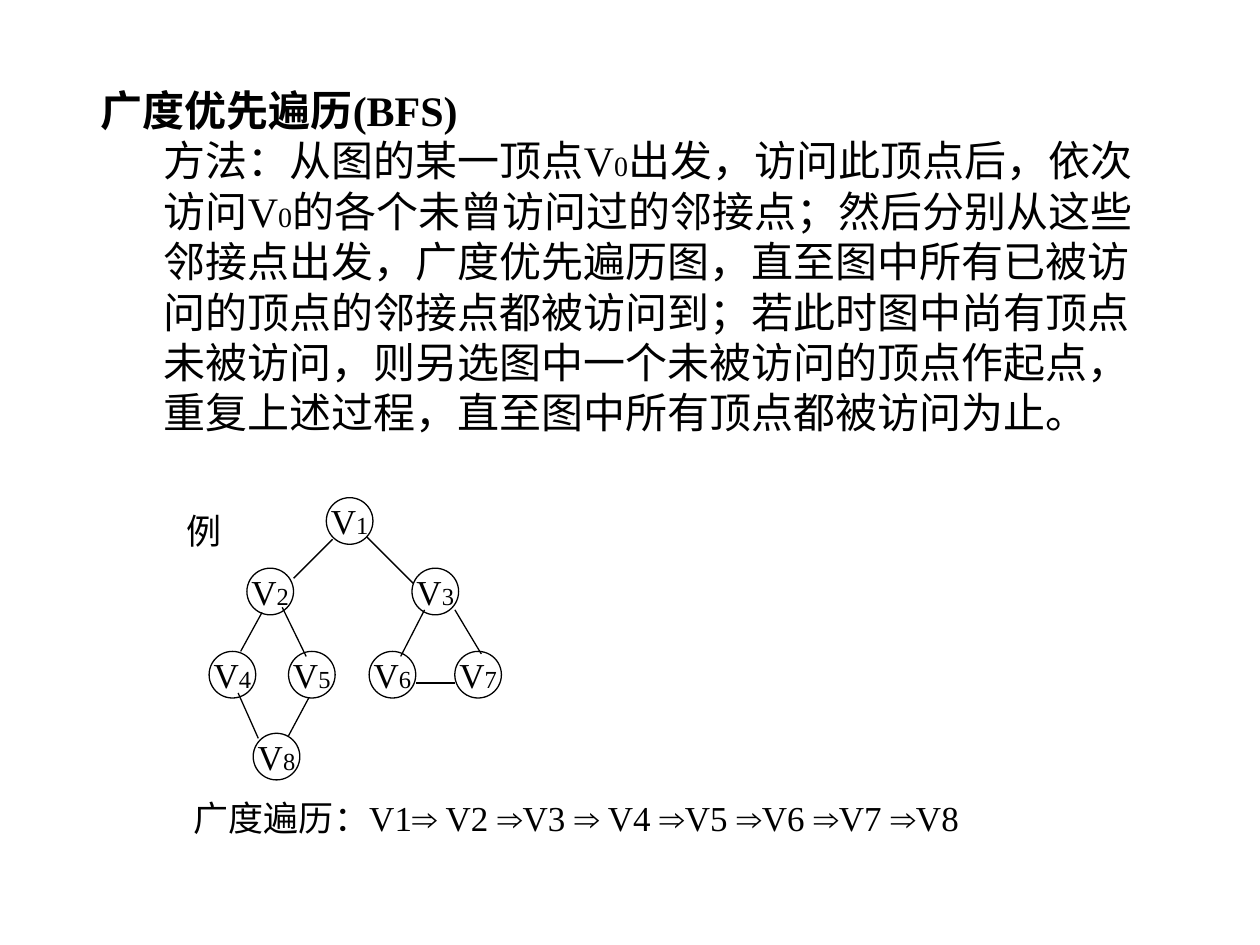
import itertools
from typing import NamedTuple

import pptx
import pptx.dml.color
import pptx.enum.shapes
import pptx.enum.text
import pptx.oxml.ns
import pptx.util
from lxml import etree

BLACK = pptx.dml.color.RGBColor(0, 0, 0)
SERIF, SANS = "Times New Roman", "Arial"
COLS, ROWS = 100, 75  # square cells, a tenth of an inch each
CELL = pptx.util.Inches(0.1)
SIDE = 3.7  # node diameter in cells
ALIGN = pptx.enum.text.PP_ALIGN
ANCHOR = pptx.enum.text.MSO_ANCHOR
FIT = pptx.enum.text.MSO_AUTO_SIZE


class Node(NamedTuple):
    num: int
    col: float
    row: float


class Edge(NamedTuple):
    x1: float
    y1: float
    x2: float
    y2: float


NODES = [
    Node(1, 25.9, 39.5),
    Node(2, 19.6, 45.1), Node(3, 32.7, 45.1),
    Node(4, 16.6, 51.7), Node(5, 22.9, 51.7),
    Node(6, 29.3, 51.7), Node(7, 36.1, 51.7),
    Node(8, 20.1, 58.2),
]
EDGES = [
    Edge(26.4, 42.8, 23.3, 45.9), Edge(29.1, 42.6, 32.8, 46.3),
    Edge(20.8, 48.6, 19.1, 51.7), Edge(22.4, 48.2, 24.3, 52.1),
    Edge(18.9, 55.0, 20.5, 58.6), Edge(24.5, 55.4, 22.9, 58.4),
    Edge(33.7, 48.4, 31.8, 52.1), Edge(33.0, 54.2, 36.1, 54.2),
    Edge(36.1, 48.4, 38.2, 51.9),
]
METHOD = [
    ("方法：从图的某一顶点V", 24), ("0", 16),
    ("出发，访问此顶点后，依次访问V", 24), ("0", 16),
    ("的各个未曾访问过的邻接点；然后分别从这些邻接点出发，"
     "广度优先遍历图，直至图中所有已被访问的顶点的邻接点都被访问到；"
     "若此时图中尚有顶点未被访问，则另选图中一个未被访问的顶点作起点，"
     "重复上述过程，直至图中所有顶点都被访问为止。", 24),
]
TRAIL = "广度遍历：V1⇒ V2 ⇒V3 ⇒ V4 ⇒V5 ⇒V6 ⇒V7 ⇒V8"


def cells(*counts: float) -> list[int]:
    return [round(n * CELL) for n in counts]


def write(para, text: str, size: float = 20, font: str = SERIF,
          bold: bool = False) -> None:
    run = para.add_run()
    run.text = text
    run.font.size = pptx.util.Pt(size)
    run.font.name = font
    run.font.bold = bold
    run.font.color.rgb = BLACK


def setup(frame, wrap: bool, anchor=ANCHOR.TOP, align=ALIGN.LEFT,
          fit=FIT.NONE):
    frame.word_wrap = wrap
    frame.auto_size = fit
    frame.vertical_anchor = anchor
    para = frame.paragraphs[0]
    para.alignment = align
    return para


def place(shape, col: float, row: float, wide: float, high: float) -> None:
    shape.left, shape.top, shape.width, shape.height = cells(
        col, row, wide, high)


def ink(line) -> None:
    line.color.rgb = BLACK
    line.width = pptx.util.Pt(0.75)


def draw_node(shapes, node: Node) -> None:
    oval = shapes.add_shape(pptx.enum.shapes.MSO_SHAPE.OVAL,
                            *cells(node.col, node.row, SIDE, SIDE))
    oval.shadow.inherit = False
    oval.fill.background()
    ink(oval.line)
    para = setup(oval.text_frame, False, ANCHOR.MIDDLE, ALIGN.CENTER)
    write(para, "V")
    write(para, str(node.num), size=14)


def draw_edge(shapes, edge: Edge) -> None:
    line = shapes.add_connector(pptx.enum.shapes.MSO_CONNECTOR.STRAIGHT,
                                *cells(*edge))
    ink(line.line)
    etree.SubElement(line._element.spPr, pptx.oxml.ns.qn("a:effectLst"))


def main() -> None:
    deck = pptx.Presentation()
    deck.slide_width, deck.slide_height = cells(COLS, ROWS)
    slide = deck.slides.add_slide(deck.slide_layouts[1])

    # Heading
    title = slide.shapes.title
    place(title, 7, 6.2, 86.3, 4.5)
    para = setup(title.text_frame, True)
    title.text_frame.margin_bottom = 0
    write(para, "广度优先遍历(BFS)", size=24, bold=True)

    # Method
    body = slide.placeholders[1]
    place(body, 7, 10.7, 86.3, 25.9)
    para = setup(body.text_frame, True)
    body.text_frame.margin_top = 0
    props = para._p.get_or_add_pPr()
    props.set("marL", str(5 * CELL))
    props.set("indent", "0")
    para.space_before = pptx.util.Pt(0)
    etree.SubElement(props, pptx.oxml.ns.qn("a:buNone"))
    for text, size in METHOD:
        write(para, text, size=size)

    # Example graph
    graph = slide.shapes.add_group_shape().shapes
    for node in NODES:
        draw_node(graph, node)
    for edge in EDGES:
        draw_edge(graph, edge)
    label = graph.add_textbox(*cells(13.8, 39.9, 4.8, 4.4))
    write(setup(label.text_frame, False, ANCHOR.MIDDLE, ALIGN.CENTER,
                FIT.SHAPE_TO_FIT_TEXT), "例")

    # Visiting order, with arrows in the sans font
    order = graph.add_textbox(*cells(14.4, 62.7, 64.9, 4.4))
    para = setup(order.text_frame, False, fit=FIT.SHAPE_TO_FIT_TEXT)
    for arrow, part in itertools.groupby(TRAIL, lambda char: char == "⇒"):
        write(para, "".join(part), font=SANS if arrow else SERIF)

    deck.save("out.pptx")


if __name__ == "__main__":
    main()
